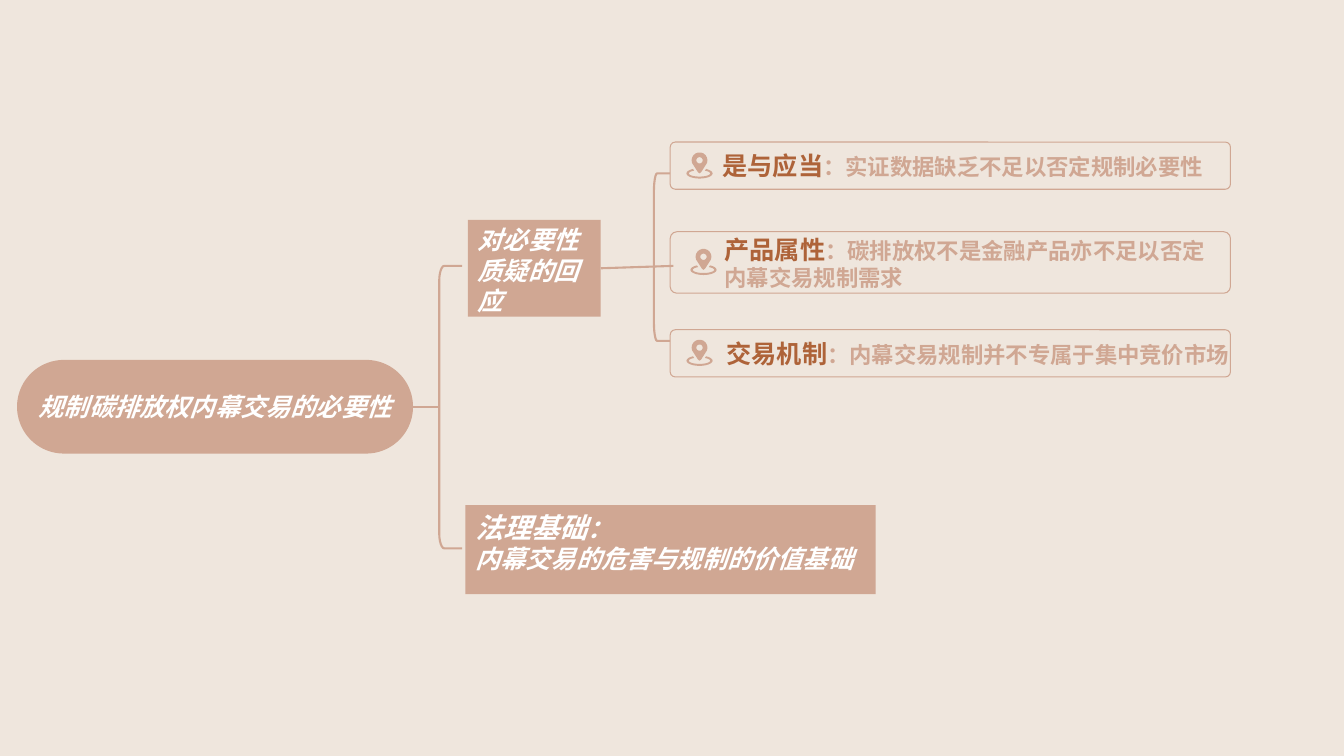
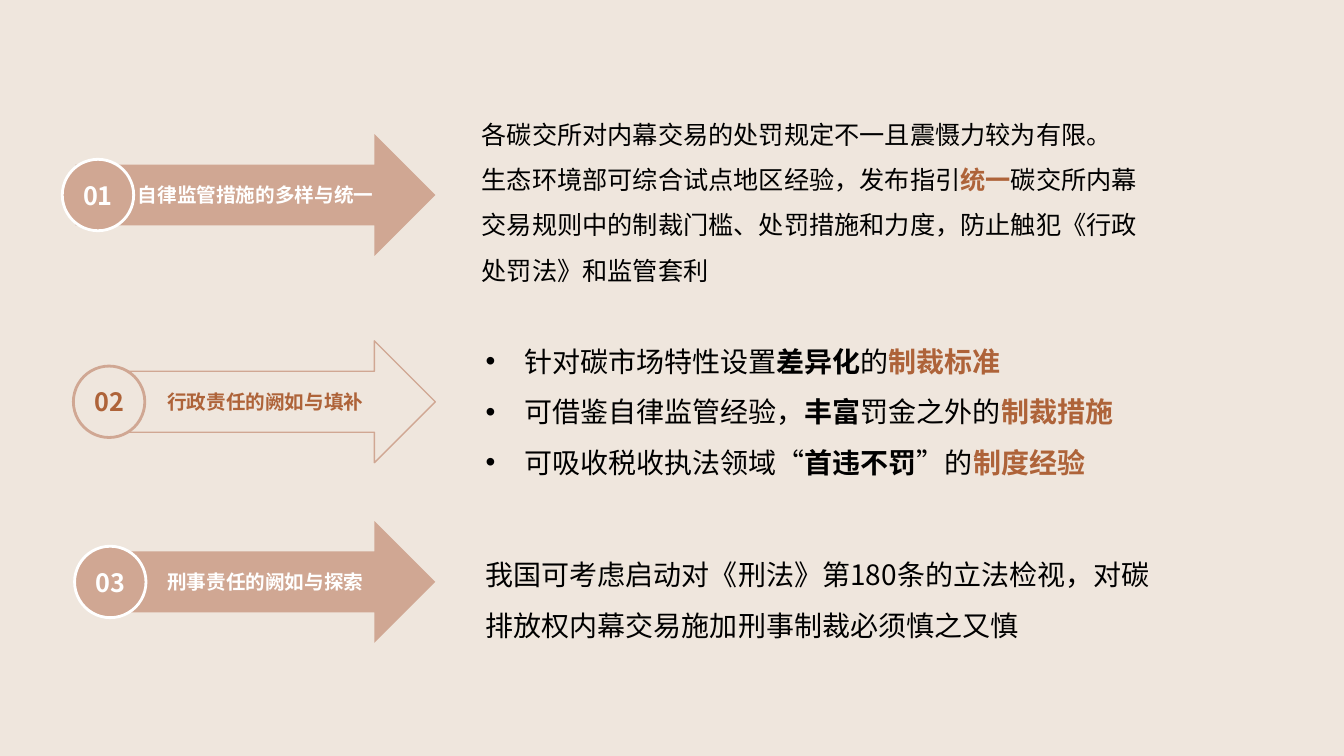
import math
from lxml import etree
from pptx import Presentation
from pptx.dml.color import RGBColor
from pptx.enum import shapes, text
from pptx.oxml import ns
from pptx.util import Cm, Pt

COLORS = {
    "sand": "EFE6DD",
    "clay": "D0A793",
    "rust": "AE6339",
    "white": "FFFFFF",
    "black": "000000",
}
PALETTE = {name: RGBColor.from_string(value) for name, value in COLORS.items()}
SANS = "Noto Sans CJK SC"
SERIF = "Times New Roman"


def style_shape(shape, fill=None, line=None, width=1.5):
    shape.shadow.inherit = False
    if fill:
        shape.fill.solid()
        shape.fill.fore_color.rgb = PALETTE[fill]
    else:
        shape.fill.background()
    if line:
        shape.line.color.rgb = PALETTE[line]
        shape.line.width = Pt(width)
    else:
        shape.line.fill.background()


def write_text(box, paragraphs, font=SANS, italic=False, align=text.PP_ALIGN.LEFT,
               anchor=text.MSO_ANCHOR.TOP, spacing=None, bullet=False):
    frame = box.text_frame
    frame.word_wrap = True
    frame.vertical_anchor = anchor
    for index, spans in enumerate(paragraphs):
        para = frame.paragraphs[0] if index == 0 else frame.add_paragraph()
        para.alignment = align
        if bullet:
            properties = para._p.get_or_add_pPr()
            properties.set("marL", str(Cm(0.97)))
            properties.set("indent", str(-Cm(0.97)))
            etree.SubElement(properties, ns.qn("a:buFont"), typeface="Arial")
            etree.SubElement(properties, ns.qn("a:buChar"), char="•")
        if spacing:
            para.line_spacing = spacing
        for words, size, color, bold in spans:
            span = para.add_run()
            span.text = words
            span.font.size = Pt(size)
            span.font.bold = bold
            span.font.italic = italic
            span.font.name = font
            span.font.color.rgb = PALETTE[color]
            etree.SubElement(span._r.get_or_add_rPr(), ns.qn("a:ea"), typeface=SANS)


deck = Presentation()
deck.slide_width, deck.slide_height = Cm(33.87), Cm(19.05)
pages = []
for number in range(2):
    page = deck.slides.add_slide(deck.slide_layouts[6])
    page.background.fill.solid()
    page.background.fill.fore_color.rgb = PALETTE["sand"]
    pages.append(page)
tree_page, measures_page = pages

brackets = [
    (11.07, 6.7, 11.65, 13.82, 0.13, 0.38),
    (16.48, 4.37, 16.89, 8.59, 0.08, 0.48),
]
for left, top, right, bottom, corner_width, corner_height in brackets:
    quarter = [math.radians(angle) for angle in range(0, 91, 15)]
    upper = [(left + corner_width * (1 - math.sin(a)),
              top + corner_height * (1 - math.cos(a))) for a in quarter]
    lower = [(x, top + bottom - y) for x, y in reversed(upper)]
    outline = [(Cm(x), Cm(y)) for x, y in upper + lower + [(right, bottom)]]
    builder = tree_page.shapes.build_freeform(Cm(right), Cm(top))
    builder.add_line_segments(outline, close=False)
    style_shape(builder.convert_to_shape(), line="clay")

topic = tree_page.shapes.add_shape(
    shapes.MSO_SHAPE.ROUNDED_RECTANGLE, Cm(0.43), Cm(9.07), Cm(9.98), Cm(2.36))
topic.adjustments[0] = 0.5
style_shape(topic, fill="clay")
topic.text_frame.margin_left = topic.text_frame.margin_right = 0
write_text(topic, [[("规制碳排放权内幕交易的必要性", 18, "white", True)]], SERIF, True,
           text.PP_ALIGN.CENTER, text.MSO_ANCHOR.MIDDLE)

blocks = [
    (11.79, 5.54, 3.35, 2.44, [[("对必要性质疑的回应", 18, "white", True)]]),
    (11.73, 12.73, 10.34, 2.24, [
        [("法理基础", 20, "white", True), ("：", 18, "white", True)],
        [("内幕交易的危害与规制的价值基础", 18, "white", True)],
    ]),
]
block_shapes = []
for left, top, width, height, paragraphs in blocks:
    block = tree_page.shapes.add_shape(
        shapes.MSO_SHAPE.RECTANGLE, Cm(left), Cm(top), Cm(width), Cm(height))
    style_shape(block, fill="clay")
    write_text(block, paragraphs, SERIF, True)
    block_shapes.append(block)

for origin, end_x, end_y in [(topic, 11.07, 10.25), (block_shapes[0], 16.97, 6.7)]:
    link = tree_page.shapes.add_connector(
        shapes.MSO_CONNECTOR.STRAIGHT, 0, 0, Cm(end_x), Cm(end_y))
    link.begin_connect(origin, 3)
    link.line.color.rgb = PALETTE["clay"]
    link.line.width = Pt(1.5)
    etree.SubElement(link._element.spPr, ns.qn("a:effectLst"))

head = [(0.33 + 0.2 * math.cos(math.radians(a)), 0.2 + 0.2 * math.sin(math.radians(a)))
        for a in range(20, -201, -20)] + [(0.29, 0.5), (0.33, 0.53), (0.37, 0.5)]
hole = [(0.33 + 0.08 * math.cos(math.radians(a)), 0.2 + 0.08 * math.sin(math.radians(a)))
        for a in range(0, 360, 20)]
sweep = [math.radians(a) for a in range(-60, 241, 15)]
ring = [(0.33 + 0.33 * math.cos(a), 0.53 + 0.13 * math.sin(a)) for a in sweep]
ring += [(0.33 + 0.27 * math.cos(a), 0.53 + 0.08 * math.sin(a)) for a in reversed(sweep)]

reasons = [
    (3.58, 1.19, 17.3, 3.84, "是与应当", ["：实证数据缺乏不足以否定规制必要性"]),
    (5.84, 1.55, 17.4, 6.27, "产品属性", ["：碳排放权不是金融产品亦不足以否定", "内幕交易规制需求"]),
    (8.31, 1.19, 17.3, 8.56, "交易机制", ["：内幕交易规制并不专属于集中竞价市场"]),
]
for index, (top, height, pin_left, pin_top, label, lines) in enumerate(reasons):
    frame_box = tree_page.shapes.add_shape(
        shapes.MSO_SHAPE.ROUNDED_RECTANGLE, Cm(16.89), Cm(top), Cm(14.12), Cm(height))
    frame_box.adjustments[0] = 0.11
    style_shape(frame_box, line="clay", width=0.75)

    contours = [[(Cm(pin_left + x), Cm(pin_top + y)) for x, y in contour]
                for contour in (head, hole, ring)]
    builder = tree_page.shapes.build_freeform(*contours[0][0])
    for contour in contours:
        builder.move_to(*contour[0])
        builder.add_line_segments(contour[1:], close=True)
    style_shape(builder.convert_to_shape(), fill="clay")

    caption = tree_page.shapes.add_textbox(
        Cm(17.96 + 0.05 * index), Cm(top), Cm(14), Cm(height))
    paragraphs = [[(line, 16, "clay", True)] for line in lines]
    paragraphs[0].insert(0, (label, 18, "rust", True))
    write_text(caption, paragraphs, SERIF, anchor=text.MSO_ANCHOR.MIDDLE)

measures = [
    ("01", "自律监管措施的多样与统一", 1.9, 3.38, 1.57, "clay", None, "white"),
    ("02", "行政责任的阙如与填补", 2.39, 8.59, 1.85, "sand", "clay", "rust"),
    ("03", "刑事责任的阙如与探索", 2.39, 13.13, 1.88, "clay", None, "white"),
]
arrow_right, arrow_height, badge_size = 10.97, 3.07, 1.8
for number, label, left, top, badge_left, fill, line, ink in measures:
    arrow = measures_page.shapes.add_shape(
        shapes.MSO_SHAPE.RIGHT_ARROW, Cm(left), Cm(top),
        Cm(arrow_right - left), Cm(arrow_height))
    style_shape(arrow, fill, line, 1)
    badge = measures_page.shapes.add_shape(
        shapes.MSO_SHAPE.OVAL, Cm(badge_left),
        Cm(top + (arrow_height - badge_size) / 2), Cm(badge_size), Cm(badge_size))
    style_shape(badge, fill, line or "white", 2)
    for shape, words, size, inset_left, inset_right in [
            (arrow, label, 14, 1.5, 0.71), (badge, number, 18, 0, 0)]:
        frame = shape.text_frame
        frame.margin_left, frame.margin_right = Cm(inset_left), Cm(inset_right)
        frame.margin_top = frame.margin_bottom = 0
        write_text(shape, [[(words, size, ink, True)]], align=text.PP_ALIGN.CENTER,
                   anchor=text.MSO_ANCHOR.MIDDLE)

details = [
    (11.89, 2.49, 17.42, 4.88, False, [
        [("各碳交所对内幕交易的处罚规定不一且震慑力较为有限。", 18, "black", False)],
        [("生态环境部可综合试点地区经验，发布指引", 18, "black", False),
         ("统一", 18, "rust", True),
         ("碳交所内幕交易规则中的制裁门槛、处罚措施和力度，防止触犯《行政处罚法》和监管套利",
          18, "black", False)],
    ]),
    (11.99, 8.13, 17.25, 4.11, True, [
        [(opening, 20, "black", False), (stress, 20, "black", True),
         (joint, 20, "black", False), (target, 20, "rust", True)]
        for opening, stress, joint, target in [
            ("针对碳市场特性设置", "差异化", "的", "制裁标准"),
            ("可借鉴自律监管经验，", "丰富", "罚金之外的", "制裁措施"),
            ("可吸收税收执法领域“", "首违不罚", "”的", "制度经验"),
        ]
    ]),
    (11.99, 13.51, 17.68, 2.69, False, [
        [("我国可考虑启动对《刑法》第180条的立法检视，对碳排放权内幕交易施加刑事制裁必须慎之又慎",
          20, "black", False)],
    ]),
]
for left, top, width, height, bullet, paragraphs in details:
    detail = measures_page.shapes.add_textbox(Cm(left), Cm(top), Cm(width), Cm(height))
    write_text(detail, paragraphs, spacing=1.5, bullet=bullet)

deck.save("out.pptx")
